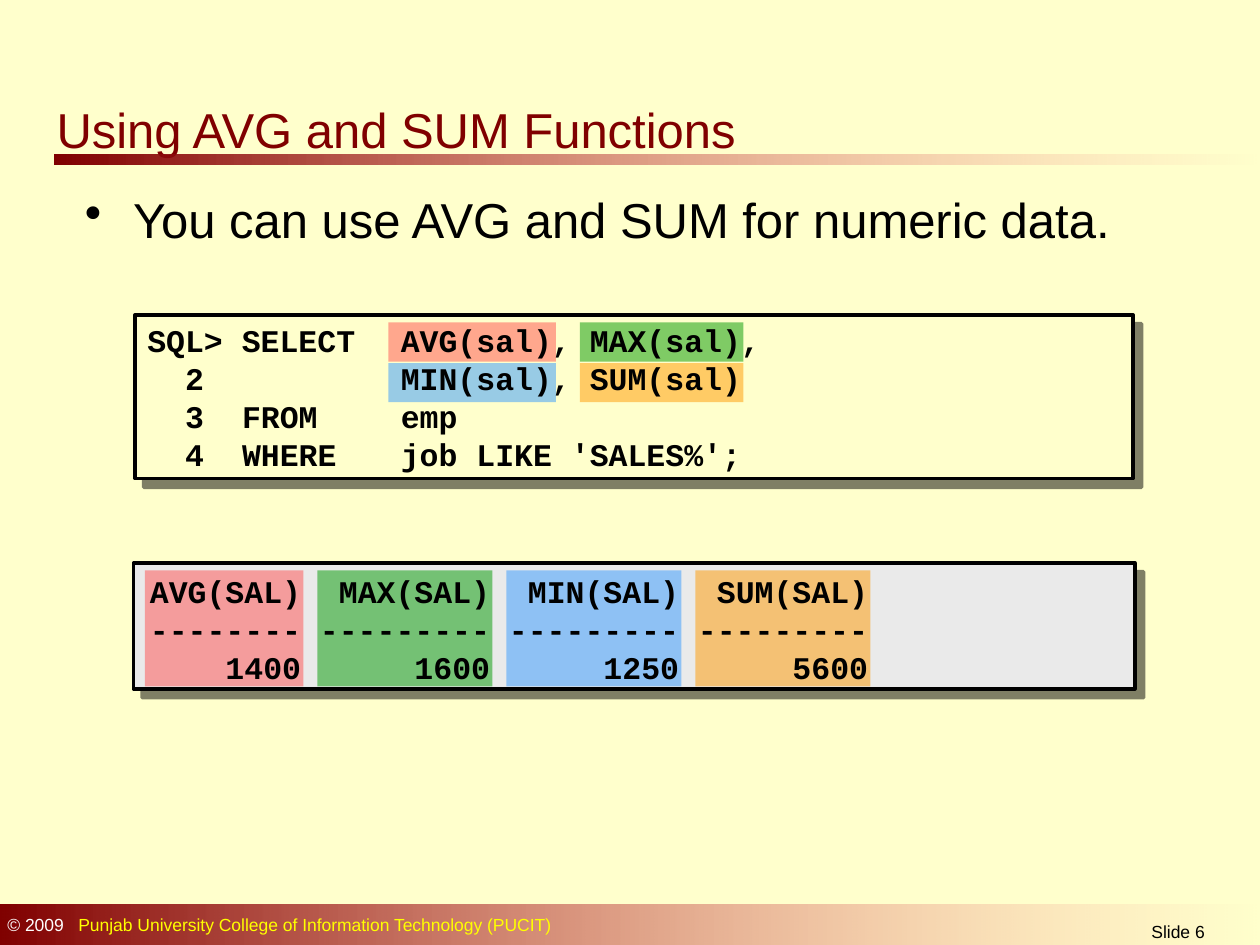
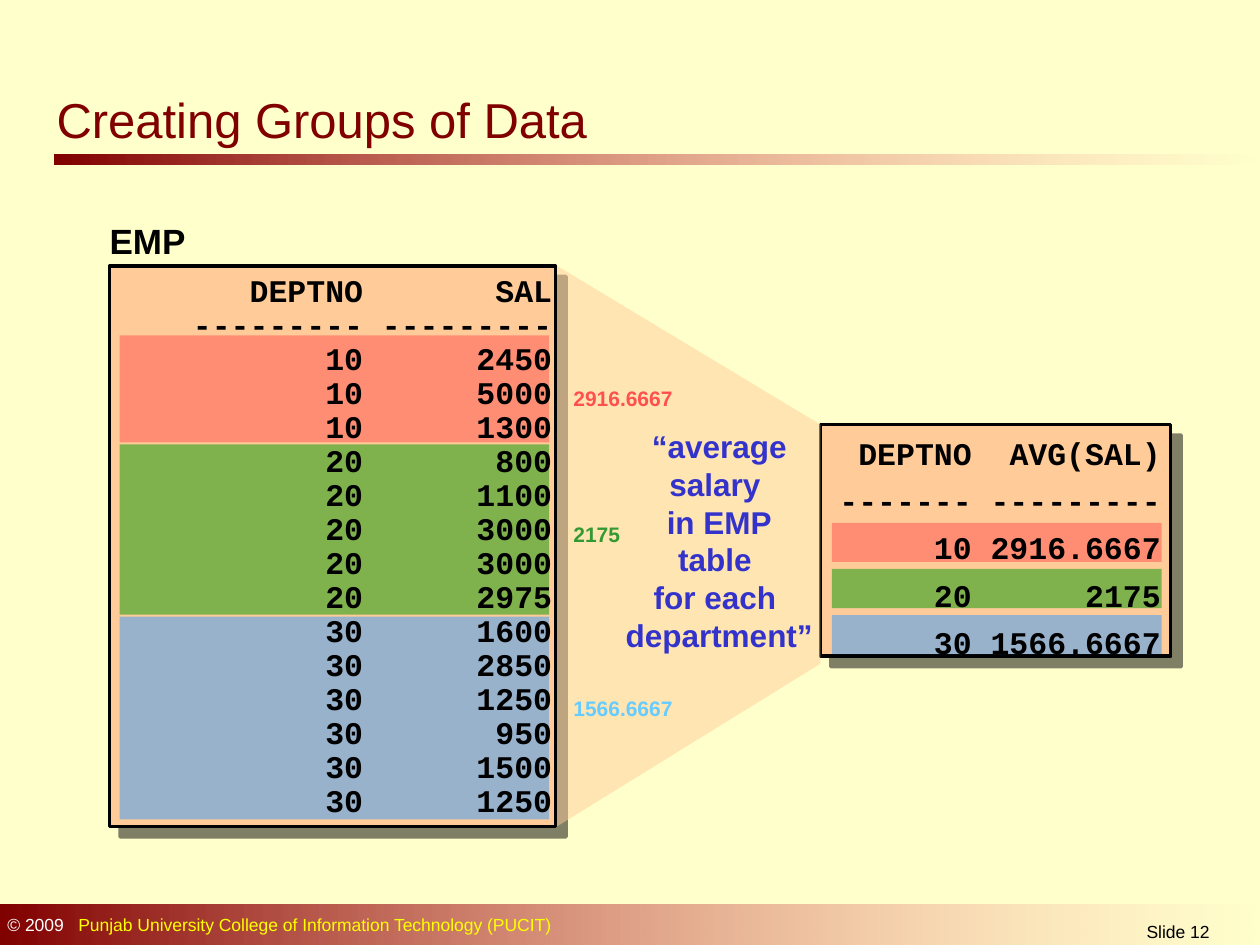
from itertools import accumulate

from lxml import etree
from pptx import Presentation
from pptx.dml.color import RGBColor
from pptx.enum.shapes import MSO_SHAPE
from pptx.enum.text import MSO_ANCHOR, MSO_AUTO_SIZE, PP_ALIGN
from pptx.oxml.ns import qn
from pptx.util import Cm, Pt

RECTANGLE = MSO_SHAPE.RECTANGLE
TOP, MIDDLE, BOTTOM = MSO_ANCHOR.TOP, MSO_ANCHOR.MIDDLE, MSO_ANCHOR.BOTTOM
LEFT, CENTER = PP_ALIGN.LEFT, PP_ALIGN.CENTER
NO_AUTOFIT = MSO_AUTO_SIZE.NONE

SANS, MONO = "Arial", "Courier New"
TITLE_ONLY = 5
SLIDE_W, SLIDE_H = 25.4, 19.05

COLORS = {
    "page": "FFFFCC", "maroon": "800000", "fade": "FF8585",
    "ink": "000000", "white": "FFFFFF", "yellow": "FFFF00",
    "gray": "EAEAEA", "peach": "FFCC99", "quote": "3333CC",
    "red": "FF5050", "green": "009900", "blue": "3399FF", "orange": "FF9900",
    "green_text": "339933", "blue_text": "66CCFF",
}


def rgb(name):
    return RGBColor.from_string(COLORS[name])


def cm_box(box):
    return [Cm(length) for length in box]


def add_alpha(color_element, percent):
    etree.SubElement(color_element, qn("a:alpha"), val=str(percent * 1000))


# ---- Text ----
def add_tabs(paragraph, stops, align):
    tab_list = etree.SubElement(paragraph._p.get_or_add_pPr(), qn("a:tabLst"))
    for stop in stops:
        etree.SubElement(tab_list, qn("a:tab"), pos=str(Cm(stop)), algn=align)


def add_bullet(paragraph, indent):
    properties = paragraph._p.get_or_add_pPr()
    properties.set("marL", str(Cm(indent)))
    properties.set("indent", str(-Cm(indent)))
    bullet_color = etree.SubElement(properties, qn("a:buClr"))
    etree.SubElement(bullet_color, qn("a:srgbClr"), val=COLORS["ink"])
    etree.SubElement(properties, qn("a:buChar"), char="•")


def set_font(paragraph, size, color="ink", bold=False, face=SANS):
    font = paragraph.font
    font.name, font.size, font.bold = face, Pt(size), bold
    font.color.rgb = rgb(color)


def prepare_frame(frame, anchor):
    frame.margin_left = frame.margin_right = 0
    frame.margin_top = frame.margin_bottom = 0
    frame.word_wrap = True
    frame.auto_size = NO_AUTOFIT
    frame.vertical_anchor = anchor


def add_text(slide, box, lines, size, color="ink", bold=False, face=SANS,
             align=LEFT, anchor=TOP, spacing=None, tabs=(), tab_align="l",
             bullet_indent=None):
    frame = slide.shapes.add_textbox(*cm_box(box)).text_frame
    prepare_frame(frame, anchor)
    for index, line in enumerate(lines):
        paragraph = frame.add_paragraph() if index else frame.paragraphs[0]
        paragraph.text = line
        if bullet_indent:
            add_bullet(paragraph, bullet_indent)
        if tabs:
            add_tabs(paragraph, tabs, tab_align)
        paragraph.alignment = align
        if spacing:
            paragraph.line_spacing = spacing
        set_font(paragraph, size, color, bold, face)
    return frame


def add_columns(slide, panel, rows, stops, top, spacing=None):
    """Query output whose columns end at right-aligned tab stops."""
    left, panel_top, width, height = panel
    lines = ["".join("\t" + cell for cell in row) for row in rows]
    add_text(slide, (left, panel_top + top, width + 0.3, height - top), lines,
             18, bold=True, face=MONO, spacing=spacing, tabs=stops, tab_align="r")


# ---- Shapes ----
def add_band(slide, box):
    band = slide.shapes.add_shape(RECTANGLE, *cm_box(box))
    band.shadow.inherit = False
    band.line.fill.background()
    band.fill.gradient()
    band.fill.gradient_angle = 0
    for stop, name in zip(band.fill.gradient_stops, ("maroon", "fade")):
        stop.color.rgb = rgb(name)
    add_alpha(band.element.spPr.findall(".//" + qn("a:srgbClr"))[-1], 0)


def make_translucent(shape, color):
    shape.shadow.inherit = False
    shape.line.fill.background()
    shape.fill.solid()
    shape.fill.fore_color.rgb = rgb(color)
    add_alpha(shape.element.spPr.find(".//" + qn("a:srgbClr")), 50)


def add_highlight(slide, panel, offset, size, color):
    box = (panel[0] + offset[0], panel[1] + offset[1], *size)
    make_translucent(slide.shapes.add_shape(RECTANGLE, *cm_box(box)), color)


def add_panel(slide, box, fill, shadow_pt):
    panel = slide.shapes.add_shape(RECTANGLE, *cm_box(box))
    panel.fill.solid()
    panel.fill.fore_color.rgb = rgb(fill)
    panel.line.color.rgb = rgb("ink")
    panel.line.width = Pt(2)
    panel.shadow.inherit = False
    shadow = etree.SubElement(
        panel.element.spPr.find(qn("a:effectLst")), qn("a:outerShdw"),
        blurRad="0", dist=str(Pt(shadow_pt)), dir="2700000", algn="ctr", rotWithShape="0")
    add_alpha(etree.SubElement(shadow, qn("a:srgbClr"), val=COLORS["ink"]), 50)


# ---- What every slide shares ----
def add_footer(slide, number):
    add_band(slide, (0, 18.24, SLIDE_W, SLIDE_H - 18.24))
    credit = add_text(slide, (0.15, 18.42, 16, 0.43), [""], 10, "white",
                      tabs=[1.43]).paragraphs[0]
    for words, color in (
            ("© 2009", "white"),
            ("\tPunjab University College of Information Technology (PUCIT)", "yellow")):
        run = credit.add_run()
        run.text = words
        run.font.color.rgb = rgb(color)
    add_text(slide, (22.1, 18.57, 3.3, 0.43), [f"Slide {number}"], 10, align=CENTER)


def start_slide(prs, title, title_bottom, number):
    slide = prs.slides.add_slide(prs.slide_layouts[TITLE_ONLY])
    add_band(slide, (1.09, 3.12, SLIDE_W - 1.09, 0.2))
    add_footer(slide, number)
    heading = slide.shapes.title
    heading.left, heading.top, heading.width, heading.height = cm_box(
        (1.14, title_bottom - 1.25, 22, 1.25))
    prepare_frame(heading.text_frame, BOTTOM)
    heading.text_frame.text = title
    paragraph = heading.text_frame.paragraphs[0]
    paragraph.alignment = LEFT
    set_font(paragraph, 28, "maroon")
    return slide


# ---- Slide: AVG and SUM ----
def add_query(slide, panel):
    add_panel(slide, panel, "page", 7.1)
    for row, colors in enumerate((("red", "green"), ("blue", "orange"))):
        for x, width, color in zip((5.11, 8.97), (3.38, 3.3), colors):
            add_highlight(slide, panel, (x, 0.15 + 0.82 * row), (width, 0.79), color)
    left, top, width, height = panel
    add_text(slide, (left + 0.25, top, width - 0.25, height),
             ["SQL> SELECT\tAVG(sal), MAX(sal),",
              "  2\t\tMIN(sal), SUM(sal)",
              "  3\tFROM\temp",
              "  4\tWHERE\tjob LIKE 'SALES%';"],
             18, bold=True, face=MONO, anchor=MIDDLE, tabs=[1.91, 5.11])


def add_query_result(slide, panel):
    add_panel(slide, panel, "gray", 7.1)
    stops = [3.38 + 3.81 * column for column in range(4)]
    widths = (3.2, 3.53, 3.53, 3.53)
    for stop, width, color in zip(stops, widths, ("red", "green", "blue", "orange")):
        add_highlight(slide, panel, (stop + 0.05 - width, 0.15), (width, 2.34), color)
    rows = [("AVG(SAL)", "MAX(SAL)", "MIN(SAL)", "SUM(SAL)"),
            ("-" * 8, "-" * 9, "-" * 9, "-" * 9),
            ("1400", "1600", "1250", "5600")]
    add_columns(slide, panel, rows, stops, 0.18)


def build_functions_slide(prs):
    slide = start_slide(prs, "Using AVG and SUM Functions", 3.2, 6)
    add_text(slide, (1.35, 3.8, 21.38, 1.2),
             ["You can use AVG and SUM for numeric data."], 28,
             align=CENTER, anchor=BOTTOM, bullet_indent=0.97)
    add_query(slide, (2.72, 6.35, 20.12, 3.3))
    add_query_result(slide, (2.69, 11.35, 20.19, 2.54))


# ---- Slide: groups of data ----
# department, salaries, average, bar colour, average colour, bar height, average's top
DEPARTMENTS = [
    ("10", ("2450", "5000", "1300"), "2916.6667", "red", "red", 2.16, 2.31),
    ("20", ("800", "1100", "3000", "3000", "2975"), "2175",
     "green", "green_text", 3.43, 5.05),
    ("30", ("1600", "2850", "1250", "950", "1500", "1250"), "1566.6667",
     "blue", "blue_text", 4.09, 8.56),
]


def add_emp_rows(slide, panel):
    left, top = panel[:2]
    add_text(slide, (left, top - 0.94, 3, 0.85), ["EMP"], 20, bold=True)
    rows = [("DEPTNO", "SAL"), ("-" * 9, "-" * 9)]
    bar_tops = accumulate((dept[5] + 0.04 for dept in DEPARTMENTS), initial=1.4)
    for dept, bar_top in zip(DEPARTMENTS, bar_tops):
        number, salaries, average, color, text_color, height, average_top = dept
        add_highlight(slide, panel, (0.2, bar_top), (8.66, height), color)
        add_text(slide, (left + 9.35, top + average_top, 2.6, 0.6), [average], 12,
                 text_color, bold=True, spacing=1.2)
        rows += [(number, salary) for salary in salaries]
    add_columns(slide, panel, rows, [5.11, 8.92], 0.18, 0.9)


def add_average_rows(slide, panel):
    rows = [("DEPTNO", "AVG(SAL)"), ("-" * 7, "-" * 9)]
    for index, (number, _, average, color, *_) in enumerate(DEPARTMENTS):
        add_highlight(slide, panel, (0.23, 1.98 + 0.93 * index), (6.65, 0.79), color)
        rows.append((number, average))
    add_columns(slide, panel, rows, [3.05, 6.86], 0, 1.25)


def add_funnel(slide, source, target):
    """Shaded wedge from the source panel's side to the target panel's side."""
    near, far = source[0] + source[2] + 0.03, target[0]
    source_bottom, target_bottom = source[1] + source[3], target[1] + target[3] + 0.15
    outline = slide.shapes.build_freeform(Cm(near), Cm(source_bottom))
    outline.add_line_segments([(Cm(x), Cm(y)) for x, y in (
        (near, source[1]), (far, target[1]), (far, target_bottom))], close=True)
    make_translucent(outline.convert_to_shape(), "peach")
    add_text(slide, (12.4, target[1] + 0.05, 4.2, 4.57),
             ["“average\vsalary ", "in EMP\vtable ", "for each ", "department”"],
             18, "quote", bold=True, align=CENTER)


def build_groups_slide(prs):
    slide = start_slide(prs, "Creating Groups of Data", 3.0, 12)
    emp, averages = (2.21, 5.36, 8.99, 11.3), (16.54, 8.56, 7.06, 4.67)
    for panel in (averages, emp):
        add_panel(slide, panel, "peach", 8.5)
    add_funnel(slide, emp, averages)
    add_emp_rows(slide, emp)
    add_average_rows(slide, averages)


def main():
    prs = Presentation()
    prs.slide_width, prs.slide_height = Cm(SLIDE_W), Cm(SLIDE_H)
    background = prs.slide_master.background.fill
    background.solid()
    background.fore_color.rgb = rgb("page")
    build_functions_slide(prs)
    build_groups_slide(prs)
    prs.save("out.pptx")


if __name__ == "__main__":
    main()
